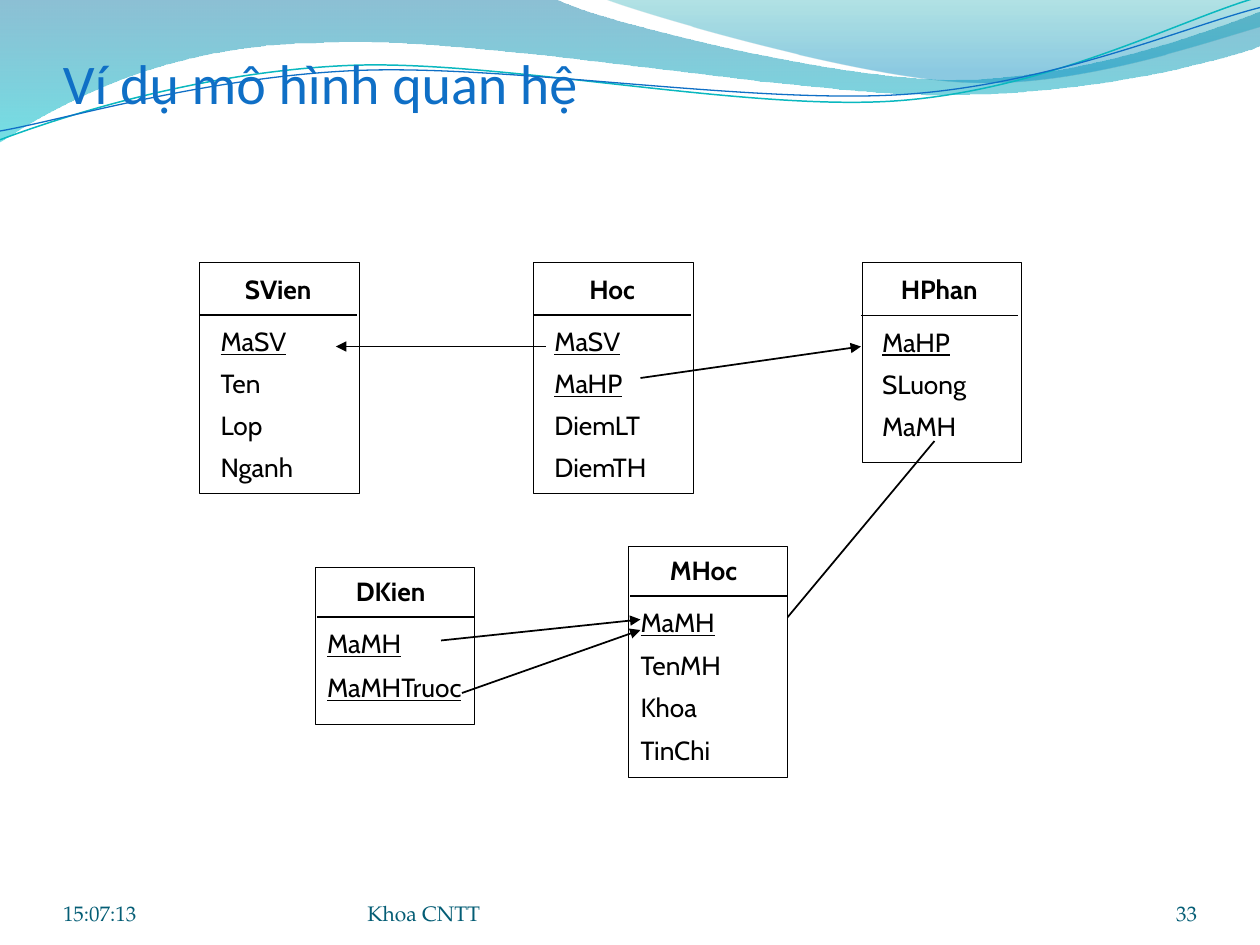
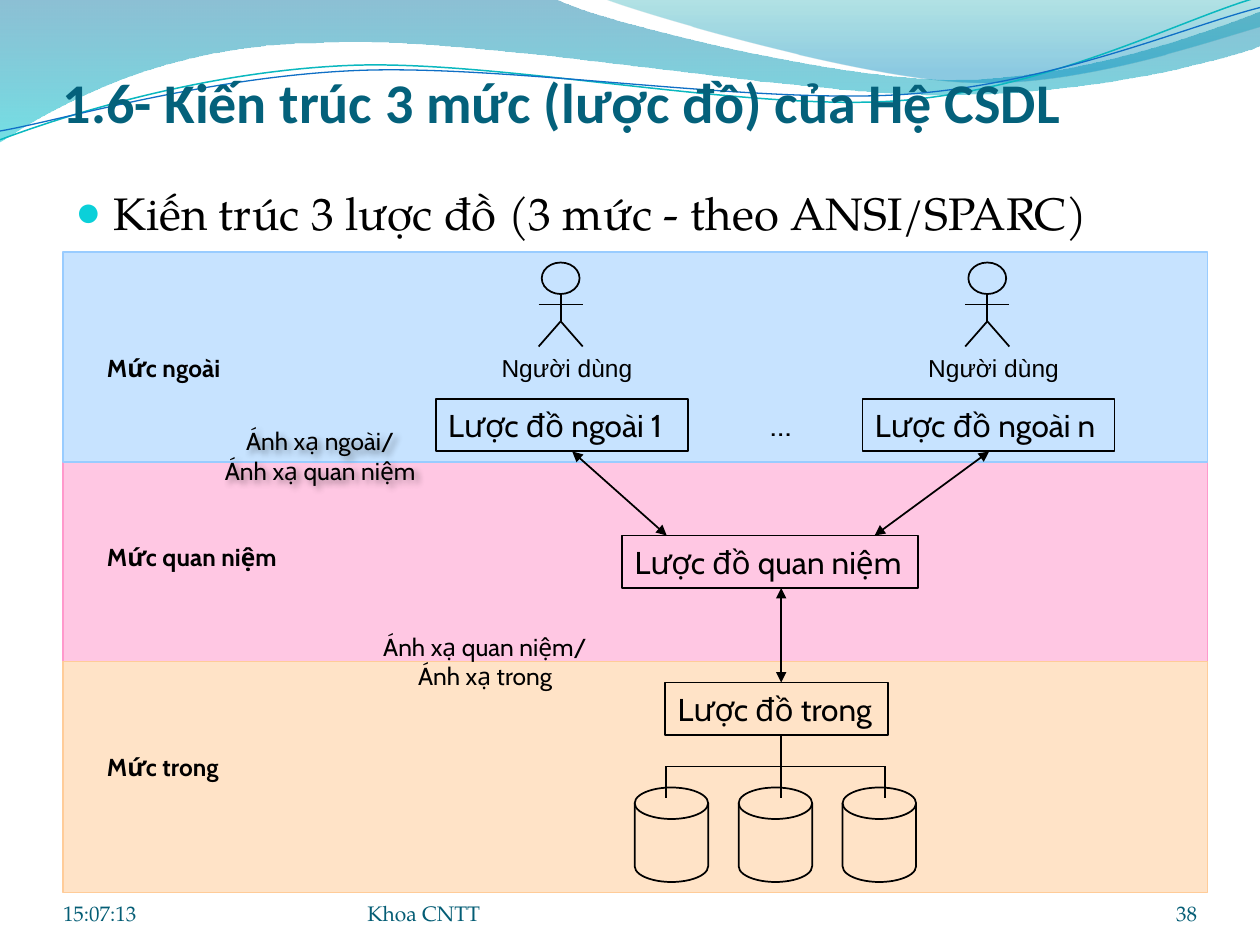
"""Build two database slides: a relational model and the three-level architecture."""
from lxml.etree import SubElement
from pptx import Presentation
from pptx.dml.color import RGBColor
from pptx.enum.shapes import MSO_CONNECTOR, MSO_SHAPE
from pptx.enum.text import MSO_ANCHOR, PP_ALIGN
from pptx.oxml.ns import qn
from pptx.util import Emu, Inches, Pt

BLACK = RGBColor(0x00, 0x00, 0x00)
WHITE = RGBColor(0xFF, 0xFF, 0xFF)
BLUE = RGBColor(0x0F, 0x6F, 0xC6)
TEAL = RGBColor(0x0A, 0xB8, 0xBF)
DARK_TEAL = RGBColor(0x04, 0x61, 0x7B)
FOOTER_TEAL = RGBColor(0x04, 0x5D, 0x75)
WAVE_BLUE = RGBColor(0x00, 0x74, 0xA1)
WAVE_CYAN = RGBColor(0x00, 0xC6, 0xCF)
CREST_TEAL = RGBColor(0x00, 0xA1, 0xA9)
CREST_BLUE = RGBColor(0x00, 0x8B, 0xBF)
BULLET_CYAN = RGBColor(0x0B, 0xD0, 0xD9)
PINK = RGBColor(0xFF, 0x99, 0xCC)
ORANGE = RGBColor(0xFF, 0xCC, 0x99)
SKY = RGBColor(0x99, 0xCC, 0xFF)

HEADING_FONT, SERIF_FONT, LABEL_FONT, USER_FONT = "Calibri", "TeX Gyre Pagella", "Cabin", "Arial"

presentation = Presentation()
presentation.slide_width, presentation.slide_height = Inches(10), Inches(7.5)
GRID = presentation.slide_width / 120
PERCENT = presentation.slide_width / 100


def add_text(slide, text, box, font=LABEL_FONT, size=14, color=BLACK, bold=False,
             underline=False, align=PP_ALIGN.LEFT, anchor=MSO_ANCHOR.TOP, inset=1.2,
             wrap=True, outline=None, fill=None, edge=BLACK, edge_width=1):
    """Place text at left, top, width, height in grid units, in a preset shape if outlined."""
    place = [Emu(round(length * GRID)) for length in box]
    if outline is None:
        shape = slide.shapes.add_textbox(*place)
    else:
        shape = slide.shapes.add_shape(outline, *place)
        shape.shadow.inherit = False
        shape.line.color.rgb = edge
        shape.line.width = Pt(edge_width)
        if fill is None:
            shape.fill.background()
        else:
            shape.fill.solid()
            shape.fill.fore_color.rgb = fill
    if not text:
        return shape
    frame = shape.text_frame
    frame.word_wrap = wrap
    frame.vertical_anchor = anchor
    frame.margin_left = frame.margin_right = Emu(round(inset * GRID))
    frame.margin_top = frame.margin_bottom = Emu(round(inset * GRID / 2))
    frame.text = text
    for paragraph in frame.paragraphs:
        paragraph.alignment = align
        for run in paragraph.runs:
            run.font.name, run.font.size = font, Pt(size)
            run.font.bold, run.font.underline = bold, underline
            run.font.color.rgb = color
    return shape


def add_line(slide, *ends, arrows=()):
    """Draw a line between two grid points; arrows names the ends with a triangle."""
    connector = slide.shapes.add_connector(
        MSO_CONNECTOR.STRAIGHT, *[Emu(round(length * GRID)) for length in ends])
    connector.line.color.rgb = BLACK
    connector.line.width = Pt(1)
    properties = connector._element.spPr
    for end in arrows:
        SubElement(properties.find(qn("a:ln")), qn(f"a:{end}"), type="triangle")
    SubElement(properties, qn("a:effectLst"))


WAVES = [
    ([(0, -0.1), (44, -0.1), (47.6, 1.7, 66.4, 6.3, 75.8, 6.3),
      (85.3, 6.3, 95.8, 2.6, 100, 0.9), (100.1, 3.6), (98.3, 4.4, 87, 7.6, 74.6, 7.5),
      (62.2, 7.5, 38.2, 2.8, 25.7, 3.4), (12.9, 3.5, 4.6, 8.3, -0.1, 11.3)],
     [(0, WAVE_BLUE, 45), (1, WAVE_CYAN, 55)], None, 0),
    ([(47.9, -0.1), (50.9, 1.1, 68.2, 6.2, 76.9, 6.5), (85.6, 6.9, 96.1, 3.2, 100, 2.1),
      (100, 0)],
     [(0, CREST_TEAL, 30), (0.8, CREST_BLUE, 45)], None, 0),
    ([(0, 11.1), (4.8, 9.3, 15.8, 5.7, 27.7, 5.2), (39.5, 4.7, 59.3, 8.9, 71.3, 8),
      (83.3, 7.1, 93.8, 1.5, 99.8, -0.2)], None, TEAL, 0.85),
    ([(0, 10.4), (4.7, 9.6, 16.4, 6.1, 28.3, 5.6), (40.3, 5.1, 59.7, 8.3, 71.7, 7.5),
      (83.6, 6.7, 94.1, 2.1, 100, 0.6)], None, BLUE, 0.75),
]

TITLES = [
    ("Ví dụ mô hình quan hệ", (6, 5, 108, 6), BLUE, False, "33"),
    ("1.6- Kiến trúc 3 mức (lược đồ) của Hệ CSDL", (6, 4.7, 108, 8.1), DARK_TEAL, True, "38"),
]

slides = []
for title, title_box, title_color, title_bold, number in TITLES:
    slide = presentation.slides.add_slide(presentation.slide_layouts[6])
    slides.append(slide)
    for segments, stops, line_color, line_width in WAVES:
        points = [(x * PERCENT, y * PERCENT) for segment in segments
                  for x, y in zip(segment[::2], segment[1::2])]
        builder = slide.shapes.build_freeform(*points[0])
        builder.add_line_segments(points[1:], close=stops is not None)
        wave = builder.convert_to_shape()
        wave.shadow.inherit = False
        corners = iter(list(wave._element.spPr.iter(qn("a:lnTo"))))
        for segment in segments[1:]:
            corner = next(corners)
            if len(segment) == 6:
                corner.tag = qn("a:cubicBezTo")
                for control in (next(corners), next(corners)):
                    corner.append(control[0])
                    control.getparent().remove(control)
        if stops:
            wave.fill.gradient()
            wave.fill.gradient_angle = 270
            for stop, (position, color, opacity) in zip(wave.fill.gradient_stops, stops):
                stop.position = position
                stop.color.rgb = color
            for element, (position, color, opacity) in zip(
                    wave._element.spPr.iter(qn("a:srgbClr")), stops):
                SubElement(element, qn("a:alpha"), val=str(opacity * 1000))
            wave.line.fill.background()
        else:
            wave.fill.background()
            wave.line.color.rgb = line_color
            wave.line.width = Pt(line_width)
    add_text(slide, title, title_box, font=HEADING_FONT, size=32, color=title_color,
             bold=title_bold, anchor=MSO_ANCHOR.BOTTOM, inset=0)
    for text, left, width, align in [("15:07:13", 6, 28, PP_ALIGN.LEFT),
                                     ("Khoa CNTT", 35, 44, PP_ALIGN.LEFT),
                                     (number, 104, 10, PP_ALIGN.RIGHT)]:
        add_text(slide, text, (left, 83.4, width, 4.8), font=SERIF_FONT, size=12,
                 color=FOOTER_TEAL, align=align, anchor=MSO_ANCHOR.BOTTOM, inset=0)

model_slide, levels_slide = slides

RELATIONS = [
    ("SVien", 19, 25, 22, 1, 0, 5, 2, 4, 1, ["MaSV", "Ten", "Lop", "Nganh"], []),
    ("Hoc", 50.8, 25, 22, 1, 0, 5, 2, 4, 2, ["MaSV", "MaHP", "DiemLT", "DiemTH"],
     [(52, 33, 32, 33), (61, 36, 82, 33)]),
    ("HPhan", 82.1, 25, 19, 0.85, -0.1, 5.05, 1.9, 4, 1, ["MaHP", "SLuong", "MaMH"],
     [(89, 42, 74, 60)]),
    ("MHoc", 59.8, 52, 22, 0.7, 0.2, 4.75, 1.2, 4.05, 1,
     ["MaMH", "TenMH", "Khoa", "TinChi"], []),
    ("DKien", 30, 54, 15, 0.7, 0.2, 4.75, 1.15, 4.2, 2, ["MaMH", "MaMHTruoc"],
     [(42, 61, 61, 59), (44, 66, 61, 60)]),
]
for (name, left, top, height, name_indent, rule_indent, header, indent, step, key_count,
     fields, references) in RELATIONS:
    add_text(model_slide, "", (left, top, 15.2, height), outline=MSO_SHAPE.RECTANGLE,
             fill=WHITE, edge_width=0.25)
    add_text(model_slide, name, (left + name_indent, top + header - 4, 13, 3), size=15,
             bold=True, align=PP_ALIGN.CENTER, inset=0)
    rule_left = left + rule_indent
    add_line(model_slide, rule_left, top + header, rule_left + 15, top + header)
    for row, field in enumerate(fields):
        add_text(model_slide, field, (left + indent, top + header + 1 + row * step, 14, 3),
                 size=15, underline=row < key_count, inset=0)
    for reference in references:
        add_line(model_slide, *reference, arrows=["tailEnd"])

body = add_text(levels_slide, "Kiến trúc 3 lược đồ (3 mức - theo ANSI/SPARC)",
                (6, 17, 108, 67), font=SERIF_FONT, size=26)
bullet = body.text_frame.paragraphs[0]._p.get_or_add_pPr()
bullet.set("marL", str(Inches(0.3)))
bullet.set("indent", str(-Inches(0.3)))
SubElement(SubElement(bullet, qn("a:buClr")), qn("a:srgbClr"), val=str(BULLET_CYAN))
SubElement(bullet, qn("a:buSzPct"), val="95000")
SubElement(bullet, qn("a:buFont"), typeface=USER_FONT)
SubElement(bullet, qn("a:buChar"), char="●")

for top, height, color in [(44, 19, PINK), (63, 22, ORANGE), (24, 20, SKY)]:
    band = add_text(levels_slide, "", (6, top, 109, height), outline=MSO_SHAPE.RECTANGLE,
                    fill=color, edge=color)
    SubElement(next(band._element.spPr.iter(qn("a:srgbClr"))), qn("a:alpha"), val="55000")

for center in (53.4, 94.03):
    add_text(levels_slide, "", (center - 1.8, 25, 3.6, 3), outline=MSO_SHAPE.OVAL)
    for x1, y1, x2, y2 in [(0, 30.6, -2.1, 33), (0, 30.6, 2.1, 33),
                           (0, 28, 0, 30.6), (-2.1, 29, 2.1, 29)]:
        add_line(levels_slide, center + x1, y1, center + x2, y2)
    add_text(levels_slide, "Người dùng", (center - 6.85, 33, 14.9, 4), font=USER_FONT,
             align=PP_ALIGN.CENTER, anchor=MSO_ANCHOR.MIDDLE)

SCHEMAS = [("Lược đồ ngoài 1", 41.5, 38, 24), ("Lược đồ ngoài n", 82.15, 38, 24),
           ("Lược đồ quan niệm", 59.25, 51, 28.2), ("Lược đồ trong", 63.35, 65, 21.2)]
for text, left, top, width in SCHEMAS:
    add_text(levels_slide, text, (left, top, width, 5), size=18,
             anchor=MSO_ANCHOR.MIDDLE, outline=MSO_SHAPE.RECTANGLE)
add_text(levels_slide, "…", (68.4, 38, 11.9, 4.8), size=18, align=PP_ALIGN.CENTER)

for column in range(3):
    add_text(levels_slide, "", (60.45 + 9.9 * column, 75, 7, 9),
             outline=MSO_SHAPE.FLOWCHART_MAGNETIC_DISK)
for mapping in [(74.4, 56, 74.4, 65), (54.5, 43, 63.5, 51), (94.2, 43, 83.3, 51)]:
    add_line(levels_slide, *mapping, arrows=["headEnd", "tailEnd"])
for branch in [(63.45, 73, 84.3, 73), (63.45, 73, 63.45, 76), (84.3, 73, 84.3, 76),
               (74.4, 70, 74.4, 76)]:
    add_line(levels_slide, *branch)

for text, top in [("Mức ngoài", 33), ("Mức quan niệm", 51), ("Mức trong", 71)]:
    add_text(levels_slide, text, (9, top, 22.8, 4), bold=True)
outer_mapping, inner_mapping = [
    add_text(levels_slide, text, (left, top, 22.8, 6.8), align=PP_ALIGN.CENTER)
    for text, left, top in [("Ánh xạ ngoài/\nÁnh xạ quan niệm", 19.1, 40),
                            ("Ánh xạ quan niệm/\nÁnh xạ trong", 34.8, 59.6)]]
shadow = SubElement(SubElement(outer_mapping._element.spPr, qn("a:effectLst")),
                    qn("a:outerShdw"), blurRad="50800", dist="38100", dir="2700000")
SubElement(SubElement(shadow, qn("a:srgbClr"), val=str(BLACK)), qn("a:alpha"), val="40000")

presentation.save("out.pptx")
